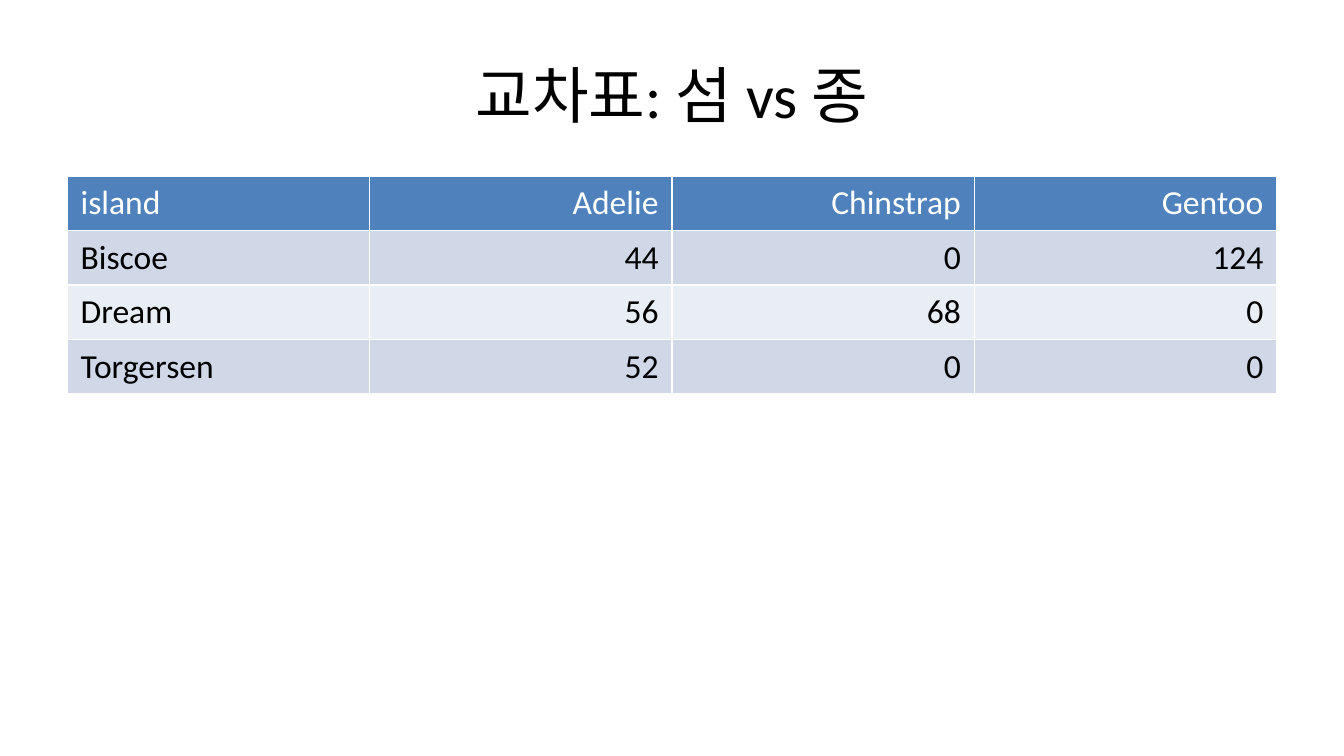
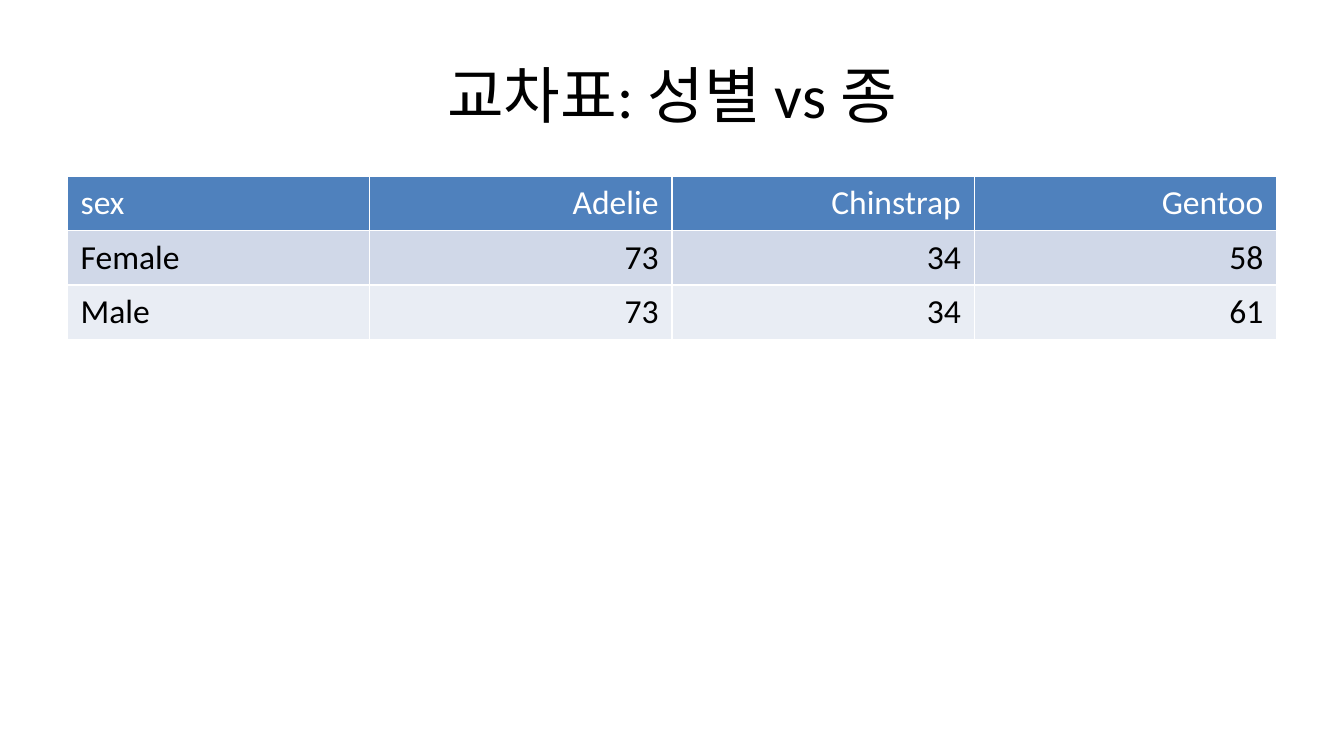
from dataclasses import dataclass

from pptx import Presentation
from pptx.dml.color import RGBColor as RGB
from pptx.enum.text import MSO_ANCHOR, PP_ALIGN
from pptx.util import Cm, Pt

SPECIES = ["Adelie", "Chinstrap", "Gentoo"]
CROSSTABS = [
    {
        "title": "교차표: 섬 vs 종",
        "factor": "island",
        "counts": [
            ("Biscoe", 44, 0, 124),
            ("Dream", 56, 68, 0),
            ("Torgersen", 52, 0, 0),
        ],
    },
    {
        "title": "교차표: 성별 vs 종",
        "factor": "sex",
        "counts": [
            ("Female", 73, 34, 58),
            ("Male", 73, 34, 61),
        ],
    },
]


@dataclass(frozen=True)
class Theme:
    font: str = "Calibri"
    title_size: Pt = Pt(33)
    cell_size: Pt = Pt(18)
    text: RGB = RGB(0x00, 0x00, 0x00)
    header_text: RGB = RGB(0xFF, 0xFF, 0xFF)
    header_fill: RGB = RGB(0x4F, 0x81, 0xBD)
    bands: tuple = (RGB(0xD0, 0xD8, 0xE8), RGB(0xE9, 0xED, 0xF4))


THEME = Theme()
SLIDE_W, SLIDE_H = Cm(25.4), Cm(14.29)
MARGIN = Cm(1.27)
CONTENT_W = SLIDE_W - 2 * MARGIN
TITLE_TOP, TITLE_H = Cm(0.58), Cm(2.39)
TABLE_TOP, TABLE_H, ROW_H = Cm(3.33), Cm(9.42), Cm(1.03)


def style_paragraph(p, size, color, align):
    p.alignment = align
    p.font.name = THEME.font
    p.font.size = size
    p.font.bold = False
    p.font.color.rgb = color


def add_title(slide, text):
    sp = slide.shapes.title
    sp.left, sp.top, sp.width, sp.height = MARGIN, TITLE_TOP, CONTENT_W, TITLE_H
    tf = sp.text_frame
    tf.text = text
    tf.vertical_anchor = MSO_ANCHOR.MIDDLE
    style_paragraph(tf.paragraphs[0], THEME.title_size, THEME.text, PP_ALIGN.CENTER)


def add_crosstab(slide, factor, counts):
    rows = [(factor, *SPECIES), *counts]
    frame = slide.shapes.add_table(
        len(rows), len(rows[0]), MARGIN, TABLE_TOP, CONTENT_W, TABLE_H
    )
    table = frame.table
    for r, values in enumerate(rows):
        table.rows[r].height = ROW_H
        fill = THEME.bands[(r - 1) % 2] if r else THEME.header_fill
        color = THEME.text if r else THEME.header_text
        for c, value in enumerate(values):
            cell = table.cell(r, c)
            cell.text = str(value)
            cell.fill.solid()
            cell.fill.fore_color.rgb = fill
            align = PP_ALIGN.RIGHT if c else PP_ALIGN.LEFT
            style_paragraph(cell.text_frame.paragraphs[0], THEME.cell_size, color, align)
    frame.height = TABLE_H


def main():
    prs = Presentation()
    prs.slide_width, prs.slide_height = SLIDE_W, SLIDE_H
    title_only = prs.slide_layouts[5]
    for crosstab in CROSSTABS:
        slide = prs.slides.add_slide(title_only)
        add_title(slide, crosstab["title"])
        add_crosstab(slide, crosstab["factor"], crosstab["counts"])
    prs.save("out.pptx")


if __name__ == "__main__":
    main()
